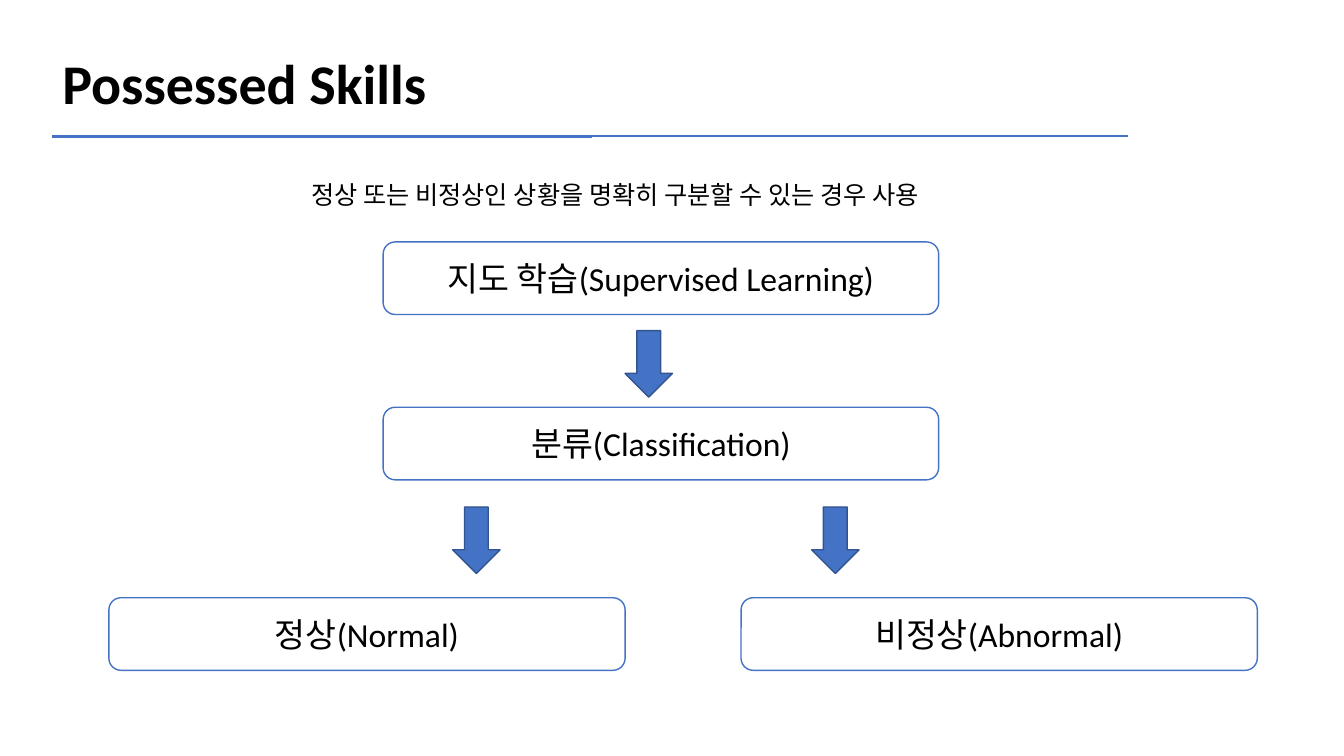
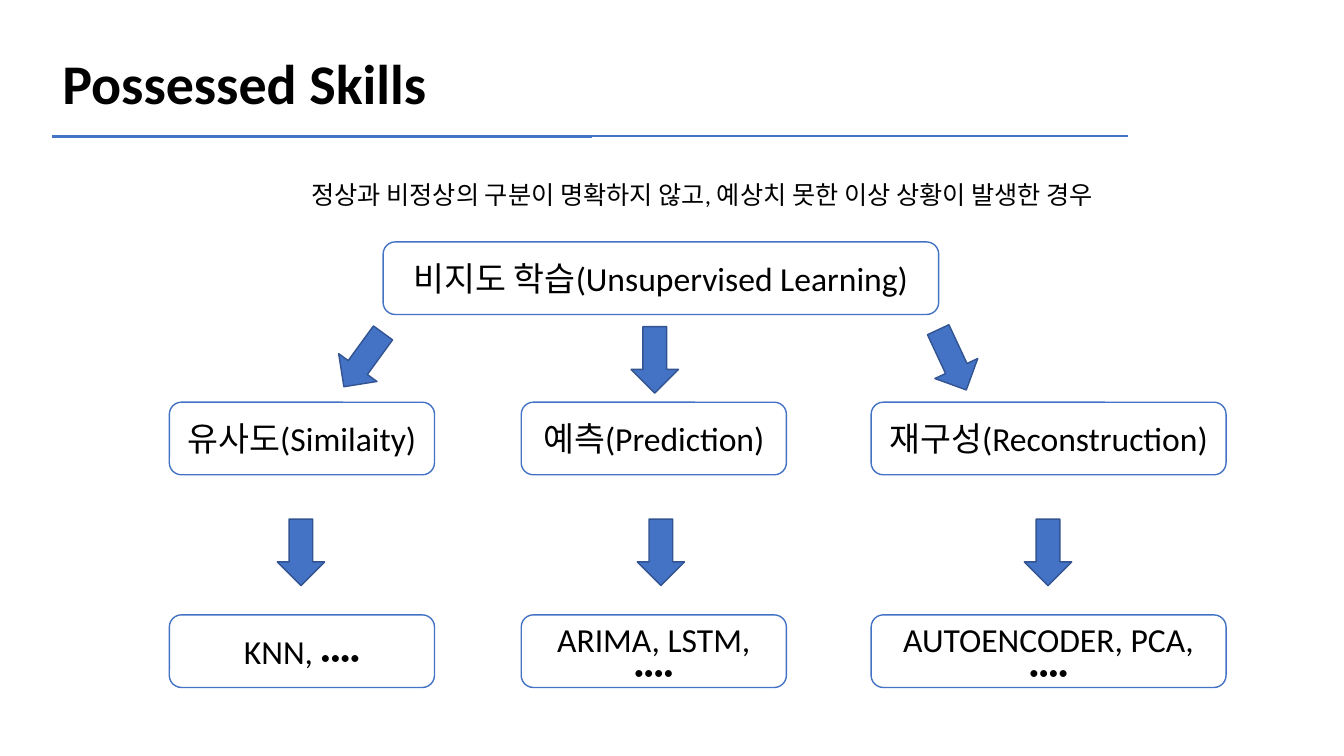
from dataclasses import dataclass

from lxml import etree
from pptx import Presentation, util as u
from pptx.dml.color import RGBColor
from pptx.enum import shapes, text
from pptx.oxml import ns


@dataclass(frozen=True)
class Theme:
    font: str = "Calibri"
    ink: str = "000000"
    paper: str = "FFFFFF"
    accent: str = "4472C4"
    arrow_edge: str = "325491"
    title_size: int = 40
    caption_size: int = 18
    label_size: int = 24
    dots_size: int = 14
    thick: float = 2.25
    thin: float = 1


BOX_HEIGHT = 0.72
ARROW_WIDTH, ARROW_HEIGHT = 0.47, 0.66
TOP_BOX = (3.8, 2.4, 5.51)
DOTS = "••••"


def add_text(para, words, *, theme, size, bold=False):
    """Append one formatted span to a paragraph."""
    span = para.add_run()
    span.text = words
    span.font.name = theme.font
    span.font.size = u.Pt(size)
    span.font.bold = bold
    span.font.color.rgb = RGBColor.from_string(theme.ink)


class SkillDeck:
    def __init__(self, theme):
        self.theme = theme
        self.deck = Presentation()
        self.deck.slide_width = u.Inches(13.33)
        self.deck.slide_height = u.Inches(7.5)
        self.page = None

    # Page frame: title, two-weight rule and caption
    def add_page(self, title, caption, caption_width):
        self.page = self.deck.slides.add_slide(self.deck.slide_layouts[6])
        frame = self.text_box(0.52, 0.04, 6.56, 1.64)
        frame.vertical_anchor = text.MSO_ANCHOR.MIDDLE
        para = frame.paragraphs[0]
        para.line_spacing = 0.9
        add_text(para, title, theme=self.theme,
                 size=self.theme.title_size, bold=True)

        self.rule(0.52, 5.87, self.theme.thick)
        self.rule(5.84, 11.19, self.theme.thin)

        frame = self.text_box(2.99, 1.73, caption_width, 0.4)
        frame.auto_size = text.MSO_AUTO_SIZE.SHAPE_TO_FIT_TEXT
        add_text(frame.paragraphs[0], caption, theme=self.theme,
                 size=self.theme.caption_size)

    def text_box(self, left, top, width, height):
        box = self.page.shapes.add_textbox(
            u.Inches(left), u.Inches(top), u.Inches(width), u.Inches(height))
        box.text_frame.word_wrap = True
        return box.text_frame

    def rule(self, start, end, weight, top=1.35):
        line = self.page.shapes.add_connector(
            shapes.MSO_CONNECTOR.STRAIGHT, u.Inches(start), u.Inches(top),
            u.Inches(end), u.Inches(top))
        line.line.color.rgb = RGBColor.from_string(self.theme.accent)
        line.line.width = u.Pt(weight)
        etree.SubElement(line.element.spPr, ns.qn("a:effectLst"))

    # Diagram parts
    def add_shape(self, kind, left, top, width, height, fill, edge):
        shape = self.page.shapes.add_shape(
            kind, u.Inches(left), u.Inches(top),
            u.Inches(width), u.Inches(height))
        shape.shadow.inherit = False
        shape.fill.solid()
        shape.fill.fore_color.rgb = RGBColor.from_string(fill)
        shape.line.color.rgb = RGBColor.from_string(edge)
        shape.line.width = u.Pt(self.theme.thin)
        return shape

    def label_box(self, left, top, width, label, dots=""):
        box = self.add_shape(
            shapes.MSO_SHAPE.ROUNDED_RECTANGLE, left, top, width, BOX_HEIGHT,
            self.theme.paper, self.theme.accent)
        frame = box.text_frame
        frame.word_wrap = True
        frame.vertical_anchor = text.MSO_ANCHOR.MIDDLE
        para = frame.paragraphs[0]
        para.alignment = text.PP_ALIGN.CENTER
        add_text(para, label, theme=self.theme, size=self.theme.label_size)
        if dots:
            add_text(para, dots, theme=self.theme, size=self.theme.dots_size)

    def arrow(self, left, top, rotation=0):
        arrow = self.add_shape(
            shapes.MSO_SHAPE.DOWN_ARROW, left, top, ARROW_WIDTH, ARROW_HEIGHT,
            self.theme.accent, self.theme.arrow_edge)
        arrow.rotation = rotation


def add_supervised(skills):
    skills.add_page("Possessed Skills",
                    "정상 또는 비정상인 상황을 명확히 구분할 수 있는 경우 사용", 7)
    skills.label_box(*TOP_BOX, "지도 학습(Supervised Learning)")
    skills.arrow(6.2, 3.28)
    skills.label_box(3.8, 4.04, 5.51, "분류(Classification)")

    # Two outcomes
    outcomes = [(1.08, 4.49, "정상(Normal)"), (7.35, 8.05, "비정상(Abnormal)")]
    for box_left, arrow_left, label in outcomes:
        skills.arrow(arrow_left, 5.03)
        skills.label_box(box_left, 5.93, 5.12, label)


def add_unsupervised(skills):
    skills.add_page(
        "Possessed Skills",
        "정상과 비정상의 구분이 명확하지 않고, 예상치 못한 이상 상황이 발생한 경우", 8.63)
    skills.label_box(*TOP_BOX, "비지도 학습(Unsupervised Learning)")

    # Branches: box left and width, upper arrow and its turn, lower arrow
    branches = [
        (1.68, 2.63, 3.37, 36, 2.75, "유사도(Similaity)", "KNN, "),
        (5.17, 2.63, 6.26, 0, 6.32, "예측(Prediction)", "ARIMA, LSTM, "),
        (8.64, 3.52, 9.21, 335, 10.16, "재구성(Reconstruction)",
         "AUTOENCODER, PCA, "),
    ]
    for left, width, upper, turn, lower, approach, methods in branches:
        skills.arrow(upper, 3.24, turn)
        skills.label_box(left, 3.99, width, approach)
        skills.arrow(lower, 5.15)
        skills.label_box(left, 6.1, width, methods, DOTS)


def main():
    skills = SkillDeck(Theme())
    add_supervised(skills)
    add_unsupervised(skills)
    skills.deck.save("out.pptx")


if __name__ == "__main__":
    main()
